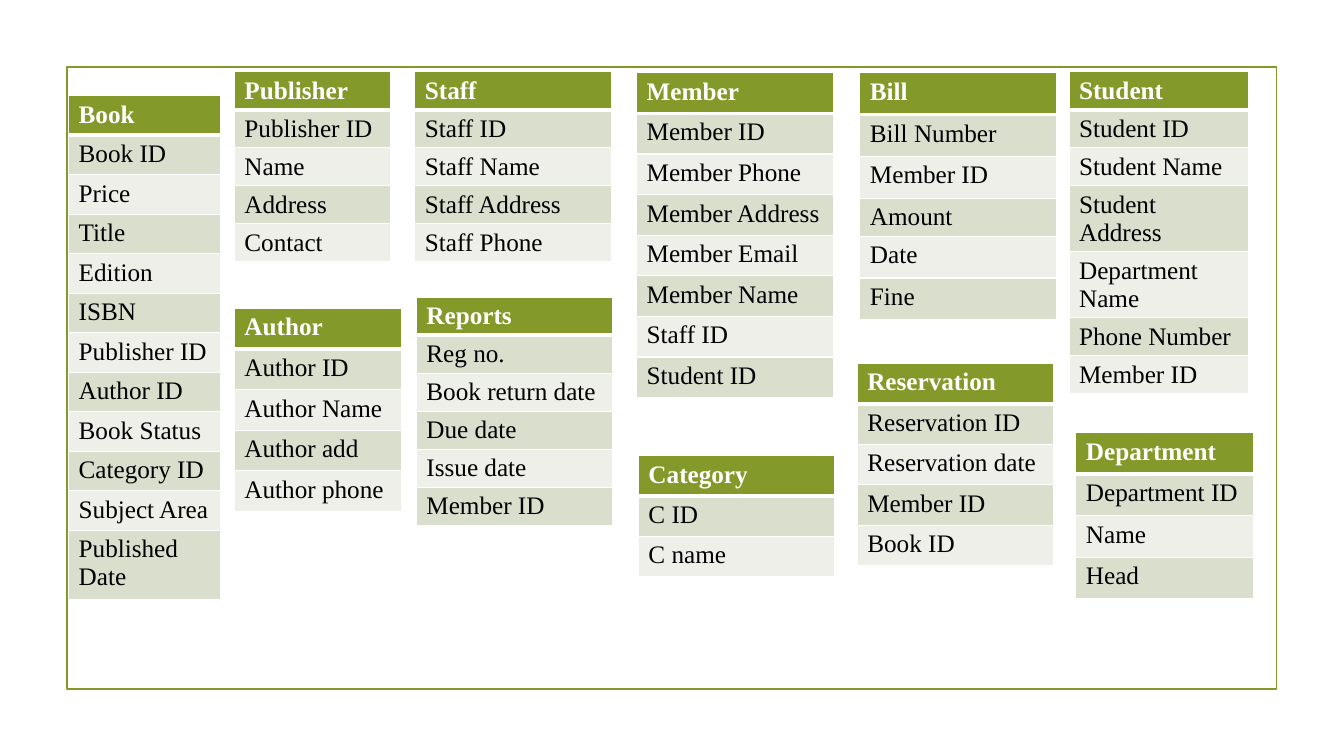
from dataclasses import dataclass

from lxml.etree import SubElement
from pptx import Presentation
from pptx.dml.color import RGBColor
from pptx.enum.shapes import MSO_SHAPE
from pptx.oxml.ns import qn
from pptx.util import Pt


@dataclass(frozen=True)
class Theme:
    font: str = "Times New Roman"
    size: int = 18
    green: str = "83992A"
    dark: str = "D9DECD"
    light: str = "EDEFE8"
    white: str = "FFFFFF"
    black: str = "000000"


theme = Theme()

# left, top, width, row height, heading, fields, heights of special rows
tables = [
    (49, 68.3, 108.7, 28.25, "Book",
     ["Book ID", "Price", "Title", "Edition", "ISBN", "Publisher ID",
      "Author ID", "Book Status", "Category ID", "Subject Area",
      "Published Date"], {"Published Date": 49.4}),
    (167.4, 51.3, 111.6, 27, "Publisher",
     ["Publisher ID", "Name", "Address", "Contact"], {}),
    (167.4, 220.3, 119.5, 29, "Author",
     ["Author ID", "Author Name", "Author add", "Author phone"], {}),
    (296.3, 51.3, 140.4, 27, "Staff",
     ["Staff ID", "Staff Name", "Staff Address", "Staff Phone"], {}),
    (454.7, 52, 140.4, 29, "Member",
     ["Member ID", "Member Phone", "Member Address", "Member Email",
      "Member Name", "Staff ID", "Student ID"], {}),
    (763.6, 51.3, 128.5, 27, "Student",
     ["Student ID", "Student Name", "Student Address", "Department Name",
      "Phone Number", "Member ID"],
     {"Student Address": 47, "Department Name": 47}),
    (297.4, 212.3, 140.4, 27, "Reports",
     ["Reg no.", "Book return date", "Due date", "Issue date",
      "Member ID"], {}),
    (614.2, 52, 140.4, 29.85, "Bill",
     ["Bill Number", "Member ID", "Amount", "Date", "Fine"],
     {"Amount": 27}),
    (612.3, 259.6, 140.4, 28.9, "Reservation",
     ["Reservation ID", "Reservation date", "Member ID", "Book ID"], {}),
    (456, 325.4, 140.4, 28.8, "Category", ["C ID", "C name"], {}),
    (768.5, 309, 126.7, 29.7, "Department",
     ["Department ID", "Name", "Head"], {}),
]


def color(code):
    return RGBColor.from_string(code)


def edge(cell, side, width):
    """Draw one white border; side is L, R, T or B."""
    line = SubElement(cell._tc.get_or_add_tcPr(), qn(f"a:ln{side}"),
                      w=str(Pt(width)))
    fill = SubElement(line, qn("a:solidFill"))
    SubElement(fill, qn("a:srgbClr"), val=theme.white)


deck = Presentation()
deck.slide_width, deck.slide_height = Pt(960), Pt(540)
slide = deck.slides.add_slide(deck.slide_layouts[6])

frame = slide.shapes.add_shape(
    MSO_SHAPE.RECTANGLE, Pt(47.7), Pt(48), Pt(864.2), Pt(444.2))
frame.shadow.inherit = False
frame.fill.background()
frame.line.color.rgb = color(theme.green)
frame.line.width = Pt(1.25)

for left, top, width, height, title, fields, special in tables:
    names = [title] + fields
    sizes = [special.get(name, height) for name in names]
    table = slide.shapes.add_table(
        len(names), 1, Pt(left), Pt(top), Pt(width), Pt(sum(sizes))).table
    table.horz_banding = False

    for row, (name, size) in enumerate(zip(names, sizes)):
        table.rows[row].height = Pt(size)
        cell = table.cell(row, 0)
        head = row == 0
        edge(cell, "L", 1)
        edge(cell, "R", 1)
        edge(cell, "T", 3 if row == 1 else 1)
        edge(cell, "B", 3 if head else 1)
        band = theme.dark if row % 2 else theme.light
        cell.fill.solid()
        cell.fill.fore_color.rgb = color(theme.green if head else band)

        cell.text = name
        font = cell.text_frame.paragraphs[0].font
        font.name = theme.font
        font.size = Pt(theme.size)
        font.bold = head
        font.color.rgb = color(theme.white if head else theme.black)

deck.save("out.pptx")
